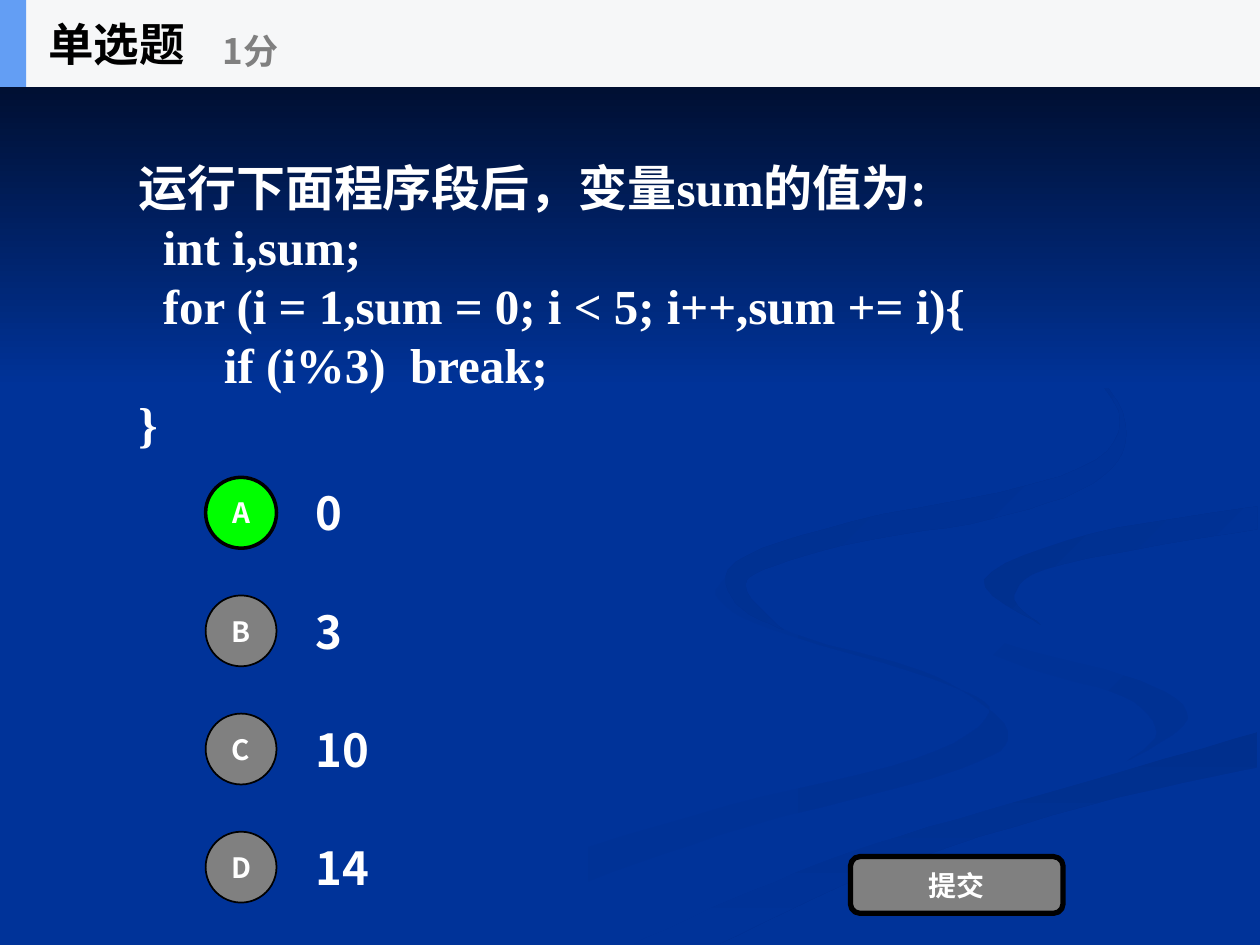
from dataclasses import dataclass

from lxml.etree import SubElement
from pptx import Presentation
from pptx.dml.color import RGBColor
from pptx.enum.shapes import MSO_SHAPE
from pptx.enum.text import MSO_ANCHOR, MSO_AUTO_SIZE, PP_ALIGN
from pptx.oxml.ns import qn
from pptx.util import Pt


@dataclass(frozen=True)
class Theme:
    sans: str = "Noto Sans CJK SC"
    serif: str = "Times New Roman"
    blue: str = "003399"
    shade: str = "003193"
    deep_shade: str = "002F8D"
    night: str = "000514"
    bar: str = "F6F7F8"
    accent: str = "639EF4"
    correct: str = "00FF00"
    grey: str = "808080"
    white: str = "FFFFFF"
    black: str = "000000"
    question_size: int = 28
    heading_size: int = 26
    points_size: int = 20
    button_size: int = 16


THEME = Theme()
WIDTH, HEIGHT = 720, 540
HEADER_HEIGHT = 49.7
RIBBON_UNIT = Pt(0.72)  # ribbon edges lie on a grid of 0.72 pt

QUESTION = [
    "运行下面程序段后，变量sum的值为:",
    "  int i,sum;",
    "  for (i = 1,sum = 0; i < 5; i++,sum += i){",
    "       if (i%3)  break;",
    "}",
]
OPTIONS = [("A", "0"), ("B", "3"), ("C", "10"), ("D", "14")]
CORRECT = "A"

# Edges shared by neighbouring ribbons
SWIRL = [(724, 464), (745, 490), (812, 515), (905, 540), (943, 570)]
BANK = [(503, 749), (599, 706), (696, 669), (832, 629), (998, 581)]
BEND = [(998, 402), (865, 424), (781, 460)]

# start colour, end colour, clockwise angle, smooth edges in order
RIBBONS = [
    (THEME.blue, THEME.shade, 0, [
        [(575, 459), (594, 485), (642, 507), (745, 538), (800, 581), (760, 611),
         (594, 656), (466, 700), (361, 749)],
        [(300, 749), (417, 690), (579, 639), (727, 602), (785, 566), (741, 539),
         (611, 499), (570, 475), (575, 459)]]),
    (THEME.blue, THEME.shade, 45, [
        SWIRL + [(894, 605)],
        [(894, 605), (918, 581), (892, 553), (815, 530), (745, 498), (724, 464)]]),
    (THEME.deep_shade, THEME.blue, 90, [
        BANK, [(998, 609), (861, 640), (695, 692), (571, 749)]]),
    (THEME.blue, THEME.blue, 0, [
        SWIRL + [(892, 605), (743, 643), (619, 684), (477, 749)],
        BANK,
        [(998, 538), (866, 509), (794, 480)] + BEND[::-1],
        [(998, 387), (830, 415), (742, 439), (724, 464)]]),
    (THEME.deep_shade, THEME.blue, 45, [
        BEND + [(826, 496)],
        [(826, 496), (805, 472), (843, 448), (998, 420)]]),
    (THEME.deep_shade, THEME.blue, 45, [
        [(762, 233), (864, 291), (894, 344), (867, 384), (786, 412), (683, 430),
         (606, 452), (593, 470), (622, 500)],
        [(622, 500), (584, 479), (584, 446), (676, 414), (842, 378), (889, 335),
         (846, 279), (762, 233)]]),
]


def rgb(value):
    return RGBColor.from_string(value)


def smooth_edge(knots, steps=6):
    """Points of a Catmull-Rom curve through the knots."""
    padded = [knots[0], *knots, knots[-1]]
    points = [knots[0]]
    for a, b, c, d in zip(padded, padded[1:], padded[2:], padded[3:]):
        for step in range(1, steps + 1):
            t = step / steps
            points.append(tuple(
                q + t / 2 * (r - p + t * (2 * p - 5 * q + 4 * r - s
                                          + t * (3 * (q - r) + s - p)))
                for p, q, r, s in zip(a, b, c, d)))
    return points


def set_gradient(shape, start, end, clockwise_angle):
    shape.fill.gradient()
    shape.fill.gradient_angle = -clockwise_angle % 360
    for stop, color in zip(shape.fill.gradient_stops, (start, end)):
        stop.color.rgb = rgb(color)


def write(part, lines, size, color, font=THEME.sans, align=PP_ALIGN.LEFT):
    """Fill a part with bold paragraphs, centred vertically."""
    frame = part.text_frame
    frame.text = "\n".join(lines)
    frame.word_wrap = True
    frame.auto_size = MSO_AUTO_SIZE.NONE
    frame.vertical_anchor = MSO_ANCHOR.MIDDLE
    for paragraph in frame.paragraphs:
        paragraph.alignment = align
        for run in paragraph.runs:
            run.font.name = font
            run.font.size = Pt(size)
            run.font.bold = True
            run.font.color.rgb = rgb(color)
            SubElement(run.font._element, qn("a:ea")).set("typeface", THEME.sans)


def add_text(slide, box, lines, size, color, font=THEME.sans):
    write(slide.shapes.add_textbox(*map(Pt, box)), lines, size, color, font)


def add_block(slide, kind, box, fill, outline=0):
    block = slide.shapes.add_shape(kind, *map(Pt, box))
    block.shadow.inherit = False
    block.fill.solid()
    block.fill.fore_color.rgb = rgb(fill)
    if outline:
        block.line.color.rgb = rgb(THEME.black)
        block.line.width = Pt(outline)
    else:
        block.line.fill.background()
    return block


def add_button(slide, kind, box, caption, fill, outline):
    button = add_block(slide, kind, box, fill, outline)
    write(button, [caption], THEME.button_size, THEME.white, align=PP_ALIGN.CENTER)
    frame = button.text_frame
    frame.margin_left = frame.margin_right = frame.margin_top = frame.margin_bottom = 0


def draw_backdrop(slide, left, top, width):
    slide.background.fill.solid()
    slide.background.fill.fore_color.rgb = rgb(THEME.blue)
    for start, end, angle, edges in RIBBONS:
        outline = [point for edge in edges for point in smooth_edge(edge)]
        builder = slide.shapes.build_freeform(*outline[0], scale=RIBBON_UNIT)
        builder.add_line_segments(outline[1:], close=True)
        ribbon = builder.convert_to_shape(Pt(left), Pt(top))
        ribbon.shadow.inherit = False
        ribbon.line.fill.background()
        set_gradient(ribbon, start, end, angle)
    sky = add_block(slide, MSO_SHAPE.RECTANGLE, (left, top, width, 221.8), THEME.night)
    set_gradient(sky, THEME.night, THEME.blue, 90)


def draw_options(slide, left, top, pitch):
    diameter, label_height = 40.5, 50.4
    for row, (letter, answer) in enumerate(OPTIONS):
        row_top = top + row * pitch
        is_correct = letter == CORRECT
        circle = (left, row_top + (label_height - diameter) / 2, diameter, diameter)
        add_button(slide, MSO_SHAPE.OVAL, circle, letter,
                   THEME.correct if is_correct else THEME.grey, 2 if is_correct else 1)
        add_text(slide, (left + 56, row_top, 57.6, label_height), [answer],
                 THEME.heading_size, THEME.white)


def draw_header(slide, left, top, width, height):
    add_block(slide, MSO_SHAPE.RECTANGLE, (left, top, width, height), THEME.bar)
    add_block(slide, MSO_SHAPE.RECTANGLE, (left, top, 15, height), THEME.accent)
    title = slide.shapes.title
    slide.shapes._spTree.append(title._element)  # bring the title in front of the bar
    title.left, title.top = Pt(left + 20.3), Pt(top)
    title.width, title.height = Pt(150), Pt(height)
    write(title, ["单选题"], THEME.heading_size, THEME.black)
    add_text(slide, (left + 120, top + 8.8, 180, 40.5), ["1分"],
             THEME.points_size, THEME.grey)


def main():
    deck = Presentation()
    deck.slide_width, deck.slide_height = Pt(WIDTH), Pt(HEIGHT)
    slide = deck.slides.add_slide(deck.slide_layouts[5])
    draw_backdrop(slide, 0, 0, WIDTH)
    add_text(slide, (72, HEADER_HEIGHT, 576, 249), QUESTION,
             THEME.question_size, THEME.white, THEME.serif)
    draw_options(slide, 117.5, 267.8, 67.5)
    add_button(slide, MSO_SHAPE.ROUNDED_RECTANGLE, (486, 489.5, 121.5, 32.4), "提交",
               THEME.grey, 3)
    draw_header(slide, 0, 0, WIDTH, HEADER_HEIGHT)
    deck.save("out.pptx")


if __name__ == "__main__":
    main()
